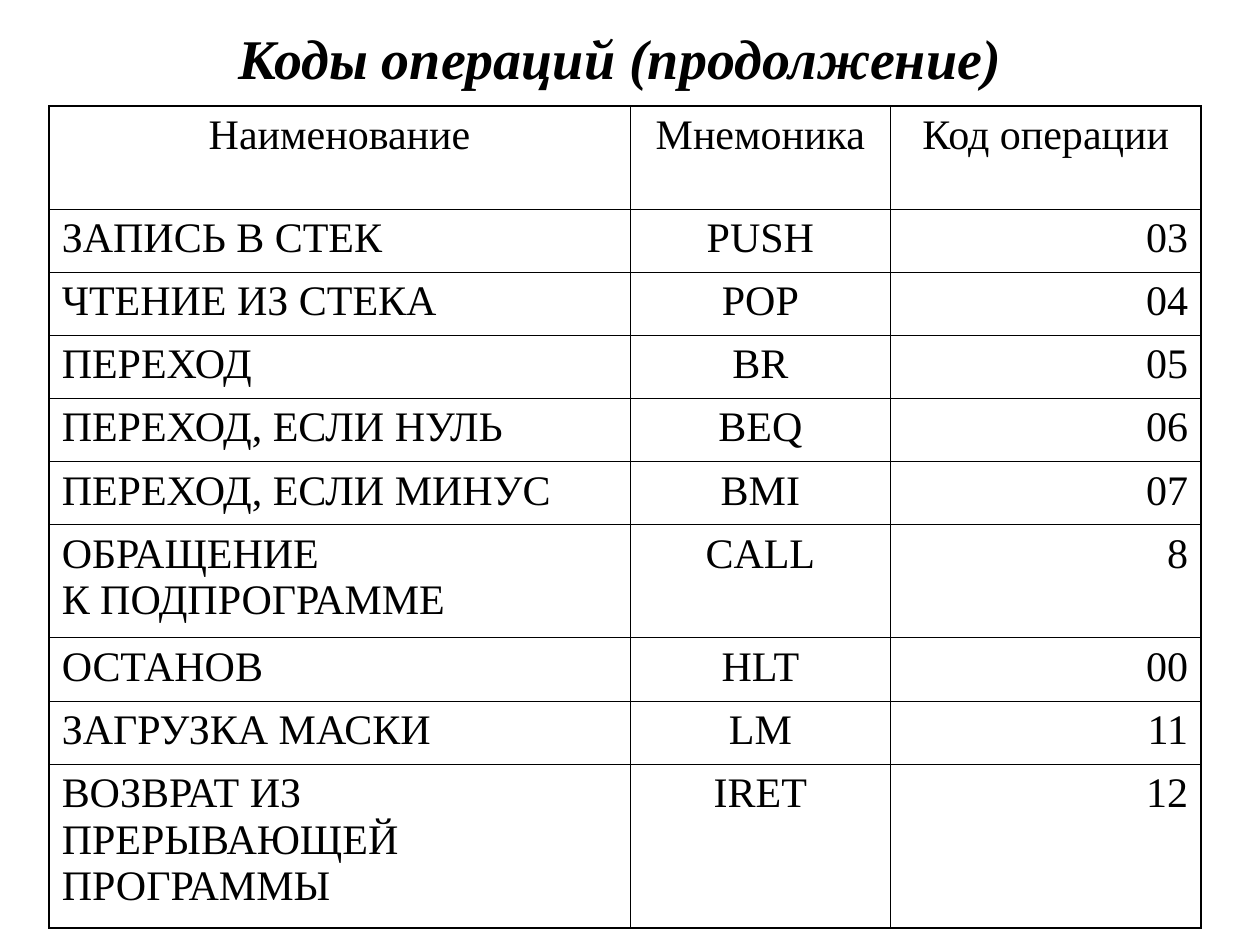
import pptx
import pptx.util
import pptx.dml.color
import pptx.enum.text
import pptx.oxml
import pptx.oxml.ns

TITLE = "Коды операций (продолжение)"
HEADER = ("Наименование", "Мнемоника", "Код операции")
OPERATIONS = [
    ("ЗАПИСЬ В СТЕК", "PUSH", "03"),
    ("ЧТЕНИЕ ИЗ СТЕКА", "POP", "04"),
    ("ПЕРЕХОД", "BR", "05"),
    ("ПЕРЕХОД, ЕСЛИ НУЛЬ", "BEQ", "06"),
    ("ПЕРЕХОД, ЕСЛИ МИНУС", "BMI", "07"),
    ("ОБРАЩЕНИЕ\nК ПОДПРОГРАММЕ", "CALL", "8"),
    ("ОСТАНОВ", "HLT", "00"),
    ("ЗАГРУЗКА МАСКИ", "LM", "11"),
    ("ВОЗВРАТ ИЗ\nПРЕРЫВАЮЩЕЙ ПРОГРАММЫ", "IRET", "12"),
]
ROWS = [HEADER] + OPERATIONS
COLUMN_WIDTHS = (4.61, 2.07, 2.46)
ROW_HEIGHT = 0.5
TALL_ROWS = {0: 0.82, 6: 0.9, 9: 1.3}
TABLE_LEFT, TABLE_TOP = 0.39, 0.84
INNER_LINE, OUTER_LINE = 0.45, 1.08
FONT = "Times New Roman"
COLORS = {"ink": "000000", "paper": "FFFFFF"}

Inches = pptx.util.Inches
Align = pptx.enum.text.PP_ALIGN
Anchor = pptx.enum.text.MSO_ANCHOR
COLUMN_ALIGNMENTS = (Align.LEFT, Align.CENTER, Align.RIGHT)


def color(name):
    return pptx.dml.color.RGBColor.from_string(COLORS[name])


def write(frame, text, size, alignment, emphasis=False):
    para = frame.paragraphs[0]
    para.alignment = alignment
    for index, line in enumerate(text.split("\n")):
        if index:
            para.add_line_break()
        span = para.add_run()
        span.text = line
        span.font.name = FONT
        span.font.size = pptx.util.Pt(size)
        span.font.bold = span.font.italic = emphasis
        span.font.color.rgb = color("ink")


def set_borders(cell, outer_sides):
    properties = cell._tc.get_or_add_tcPr()
    for index, (side, outer) in enumerate(zip("LRTB", outer_sides)):
        width = pptx.util.Pt(OUTER_LINE if outer else INNER_LINE)
        border = pptx.oxml.parse_xml(
            f'<a:ln{side} {pptx.oxml.ns.nsdecls("a")} w="{width}"><a:solidFill>'
            f'<a:srgbClr val="{COLORS["ink"]}"/></a:solidFill></a:ln{side}>'
        )
        properties.insert(index, border)


def add_title(page):
    title = page.shapes.title
    title.left, title.top = Inches(0), Inches(0.13)
    title.width, title.height = Inches(9.84), Inches(0.64)
    title.text_frame.vertical_anchor = Anchor.MIDDLE
    title.text_frame.auto_size = pptx.enum.text.MSO_AUTO_SIZE.SHAPE_TO_FIT_TEXT
    write(title.text_frame, TITLE, 32, Align.CENTER, emphasis=True)


def add_operations(page):
    heights = [TALL_ROWS.get(index, ROW_HEIGHT) for index in range(len(ROWS))]
    table = page.shapes.add_table(
        len(ROWS), len(HEADER), Inches(TABLE_LEFT), Inches(TABLE_TOP),
        Inches(sum(COLUMN_WIDTHS)), Inches(sum(heights)),
    ).table
    table.first_row = table.horz_banding = False
    for column, width in zip(table.columns, COLUMN_WIDTHS):
        column.width = Inches(width)
    last_row, last_column = len(ROWS) - 1, len(HEADER) - 1
    for r, (texts, height) in enumerate(zip(ROWS, heights)):
        table.rows[r].height = Inches(height)
        for c, text in enumerate(texts):
            cell = table.cell(r, c)
            cell.fill.solid()
            cell.fill.fore_color.rgb = color("paper")
            cell.vertical_anchor = Anchor.TOP
            write(cell.text_frame, text, 24, COLUMN_ALIGNMENTS[c] if r else Align.CENTER)
            set_borders(cell, (c == 0, c == last_column, r == 0, r == last_row))


def main():
    deck = pptx.Presentation()
    deck.slide_width, deck.slide_height = Inches(10), Inches(7.5)
    page = deck.slides.add_slide(deck.slide_layouts.get_by_name("Title Only"))
    add_title(page)
    add_operations(page)
    deck.save("out.pptx")


if __name__ == "__main__":
    main()
